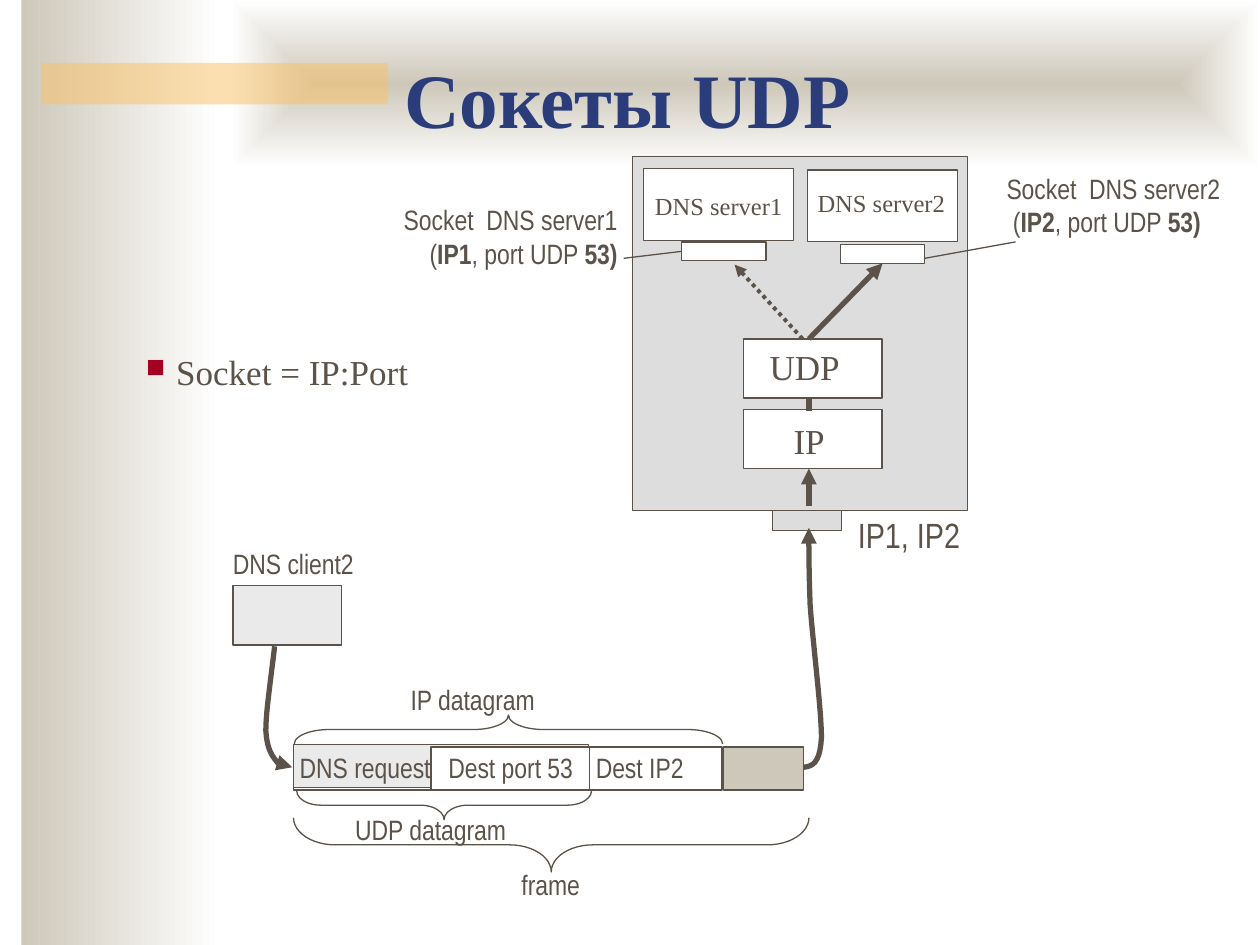
from dataclasses import dataclass
from typing import Optional

from lxml.etree import SubElement
from pptx import Presentation
from pptx.dml.color import RGBColor
from pptx.enum.dml import MSO_LINE
from pptx.enum.shapes import MSO_CONNECTOR, MSO_SHAPE
from pptx.enum.text import PP_ALIGN
from pptx.oxml.ns import qn
from pptx.shapes.autoshape import Shape
from pptx.slide import Slide
from pptx.util import Emu, Pt

PX = 9144


@dataclass(frozen=True)
class Theme:
    ink: str = "5B5249"
    title: str = "2A3D7A"
    white: str = "FFFFFF"
    sand: str = "CEC8BA"
    accent: str = "FAC164"
    host: str = "DDDDDD"
    client: str = "EAEAEA"
    bullet: str = "A50021"
    serif: str = "Times New Roman"
    narrow: str = "Arial Narrow"
    title_size: int = 44
    large: int = 20
    normal: int = 16
    small: int = 14
    thin: float = 0.75
    dotted: float = 2.25
    thick: float = 3


THEME = Theme()


@dataclass(frozen=True)
class Box:
    left: int
    top: int
    width: int
    height: int
    fill: Optional[str] = THEME.white


@dataclass(frozen=True)
class Label:
    left: int
    top: int
    width: int
    height: int
    lines: tuple
    size: int = THEME.normal
    font: str = THEME.narrow
    align: PP_ALIGN = PP_ALIGN.LEFT
    color: str = THEME.ink
    bold: bool = False
    inset_top: int = 5


@dataclass(frozen=True)
class Brace:
    box: Box
    rotation: int
    curl: float


@dataclass(frozen=True)
class Link:
    start: tuple[int, int]
    end: tuple[int, int]
    weight: float = THEME.thick
    arrow: bool = False
    dotted: bool = False
    target: Optional[str] = None
    site: int = 0


def px(length: float) -> Emu:
    return Emu(round(length * PX))


def rgb(code: str) -> RGBColor:
    return RGBColor.from_string(code)


def stroke(item, weight: float = THEME.thin, arrow: bool = False) -> None:
    item.line.color.rgb = rgb(THEME.ink)
    item.line.width = Pt(weight)
    if arrow:
        SubElement(item.element.spPr.get_or_add_ln(), qn("a:tailEnd"), type="triangle")


def draw_shape(page: Slide, box: Box, preset: MSO_SHAPE = MSO_SHAPE.RECTANGLE) -> Shape:
    shape = page.shapes.add_shape(
        preset, px(box.left), px(box.top), px(box.width), px(box.height))
    shape.shadow.inherit = False
    if box.fill:
        shape.fill.solid()
        shape.fill.fore_color.rgb = rgb(box.fill)
    else:
        shape.fill.background()
    stroke(shape)
    return shape


def draw_gradient(page: Slide, box: Box, from_center: bool = False) -> None:
    shape = draw_shape(page, box)
    shape.line.fill.background()
    shape.fill.gradient()
    shape.fill.gradient_angle = 0
    for stop, color in zip(shape.fill.gradient_stops, (THEME.sand, THEME.white)):
        stop.color.rgb = rgb(color)
    if from_center:
        gradient = shape.element.spPr.find(qn("a:gradFill"))
        gradient.remove(gradient.find(qn("a:lin")))
        center = SubElement(gradient, qn("a:path"), {"path": "shape"})
        SubElement(center, qn("a:fillToRect"), dict.fromkeys("ltrb", "50000"))


def draw_backdrop(page: Slide) -> None:
    draw_gradient(page, Box(17, 0, 158, 750))
    draw_gradient(page, Box(183, 0, 817, 133), from_center=True)
    bar = draw_shape(page, Box(33, 50, 275, 33, THEME.accent))
    bar.line.fill.background()
    color = bar.element.spPr.find(qn("a:solidFill")).find(qn("a:srgbClr"))
    SubElement(color, qn("a:alpha"), val="50000")


def draw_label(page: Slide, label: Label) -> Shape:
    box = page.shapes.add_textbox(
        px(label.left), px(label.top), px(label.width), px(label.height))
    frame = box.text_frame
    frame.word_wrap = True
    frame.margin_top = px(label.inset_top)
    para = frame.paragraphs[0]
    para.alignment = label.align
    for index, line in enumerate(label.lines):
        if index:
            para.add_line_break()
        for position, words in enumerate((line,) if isinstance(line, str) else line):
            span = para.add_run()
            span.text = words
            span.font.name = label.font
            span.font.size = Pt(label.size)
            span.font.bold = label.bold or position % 2 == 1
            span.font.color.rgb = rgb(label.color)
    return box


def add_bullet(box: Shape) -> None:
    properties = box.text_frame.paragraphs[0]._p.get_or_add_pPr()
    properties.set("marL", str(px(24)))
    properties.set("indent", str(px(-24)))
    SubElement(SubElement(properties, qn("a:buClr")), qn("a:srgbClr"), val=THEME.bullet)
    SubElement(properties, qn("a:buSzPct"), val="75000")
    SubElement(properties, qn("a:buChar"), char="■")


def draw_brace(page: Slide, brace: Brace) -> None:
    shape = draw_shape(page, brace.box, MSO_SHAPE.LEFT_BRACE)
    shape.rotation = brace.rotation
    shape.adjustments[0] = brace.curl


def draw_link(page: Slide, link: Link, boxes: dict[str, Shape]) -> None:
    connector = page.shapes.add_connector(
        MSO_CONNECTOR.STRAIGHT, *map(px, link.start + link.end))
    if link.target:
        connector.end_connect(boxes[link.target], link.site)
    if link.dotted:
        connector.line.dash_style = MSO_LINE.ROUND_DOT
    stroke(connector, link.weight, link.arrow)
    SubElement(connector.element.spPr, qn("a:effectLst"))


def draw_curve(page: Slide, points: list[tuple[int, int]], steps: int = 10) -> None:
    trail = []
    for first in range(0, len(points) - 1, 3):
        controls = points[first:first + 4]
        for step in range(1, steps + 1):
            t = step / steps
            weights = ((1 - t) ** 3, 3 * t * (1 - t) ** 2, 3 * t * t * (1 - t), t ** 3)
            trail.append(tuple(
                px(sum(w * point[axis] for w, point in zip(weights, controls)))
                for axis in (0, 1)))
    builder = page.shapes.build_freeform(px(points[0][0]), px(points[0][1]))
    builder.add_line_segments(trail, close=False)
    curve = builder.convert_to_shape()
    curve.shadow.inherit = False
    curve.fill.background()
    stroke(curve, THEME.thick, arrow=True)


BOXES = {
    "host": Box(502, 124, 266, 281, THEME.host),
    "server1": Box(511, 134, 119, 57),
    "server2": Box(641, 135, 119, 57),
    "socket1": Box(541, 192, 67, 15),
    "socket2": Box(667, 194, 67, 15),
    "udp": Box(590, 269, 110, 47),
    "ip": Box(590, 325, 110, 47),
    "interface": Box(613, 405, 55, 16, THEME.host),
    "client": Box(185, 465, 86, 47, THEME.client),
    "ip datagram": Box(233, 593, 340, 34),
    "udp datagram": Box(233, 591, 234, 34, THEME.client),
    "port": Box(342, 593, 126, 34),
    "frame header": Box(574, 593, 64, 34, THEME.sand),
}
LABELS = [
    Label(12, 29, 972, 110, ("Сокеты UDP",), THEME.title_size, THEME.serif,
          PP_ALIGN.CENTER, THEME.title, True, 12),
    Label(175, 429, 232, 37, ("DNS client2",)),
    Label(671, 403, 116, 44, ("IP1, IP2",), THEME.large),
    Label(601, 269, 119, 44, ("UDP",), THEME.large, THEME.serif),
    Label(620, 328, 54, 44, ("IP",), THEME.large, THEME.serif),
    Label(510, 147, 126, 33, ("DNS server1",), THEME.small, THEME.serif),
    Label(639, 144, 126, 33, ("DNS server2",), THEME.small, THEME.serif),
    Label(303, 156, 197, 64,
          ("Socket  DNS server1", ("(", "IP1", ", port UDP ", "53)")), align=PP_ALIGN.RIGHT),
    Label(789, 131, 197, 64,
          ("Socket  DNS server2", (" (", "IP2", ", port UDP ", "53)"))),
    Label(228, 591, 130, 37, ("DNS request",)),
    Label(346, 591, 152, 37, ("Dest port 53",)),
    Label(463, 591, 152, 37, ("Dest IP2",)),
    Label(316, 537, 195, 37, ("IP datagram",)),
    Label(272, 640, 195, 37, ("UDP datagram",)),
    Label(404, 684, 123, 37, ("frame",)),
]
SOCKET_RULE = Label(106, 273, 275, 44, ("Socket = IP:Port",), THEME.large, THEME.serif)
BRACES = [
    Brace(Box(341, 522, 23, 234, None), 270, 0.83),
    Brace(Box(392, 409, 23, 340, None), 90, 1.21),
    Brace(Box(416, 466, 43, 409, None), 270, 0.77),
]
LINKS = [
    Link((637, 269), (583, 210), THEME.dotted, arrow=True, dotted=True),
    Link((642, 269), (699, 209), arrow=True, target="socket2", site=2),
    Link((642, 326), (642, 316)),
    Link((642, 402), (642, 372), arrow=True),
    Link((495, 205), (539, 199), THEME.thin, target="socket1", site=1),
    Link((734, 205), (806, 192), THEME.thin),
]
CURVES = [
    [(218, 513), (215, 539), (211, 565), (211, 580), (212, 595), (216, 600),
     (220, 605), (223, 610), (230, 608), (232, 609)],
    [(638, 609), (644, 608), (651, 607), (652, 585), (652, 564), (645, 508),
     (643, 480), (642, 452), (642, 435), (642, 419)],
]


def main() -> None:
    deck = Presentation()
    deck.slide_width, deck.slide_height = px(1000), px(750)
    page = deck.slides.add_slide(deck.slide_layouts[6])
    draw_backdrop(page)
    boxes = {name: draw_shape(page, box) for name, box in BOXES.items()}
    for brace in BRACES:
        draw_brace(page, brace)
    for label in LABELS:
        draw_label(page, label)
    add_bullet(draw_label(page, SOCKET_RULE))
    for link in LINKS:
        draw_link(page, link, boxes)
    for points in CURVES:
        draw_curve(page, points)
    deck.save("out.pptx")


if __name__ == "__main__":
    main()
